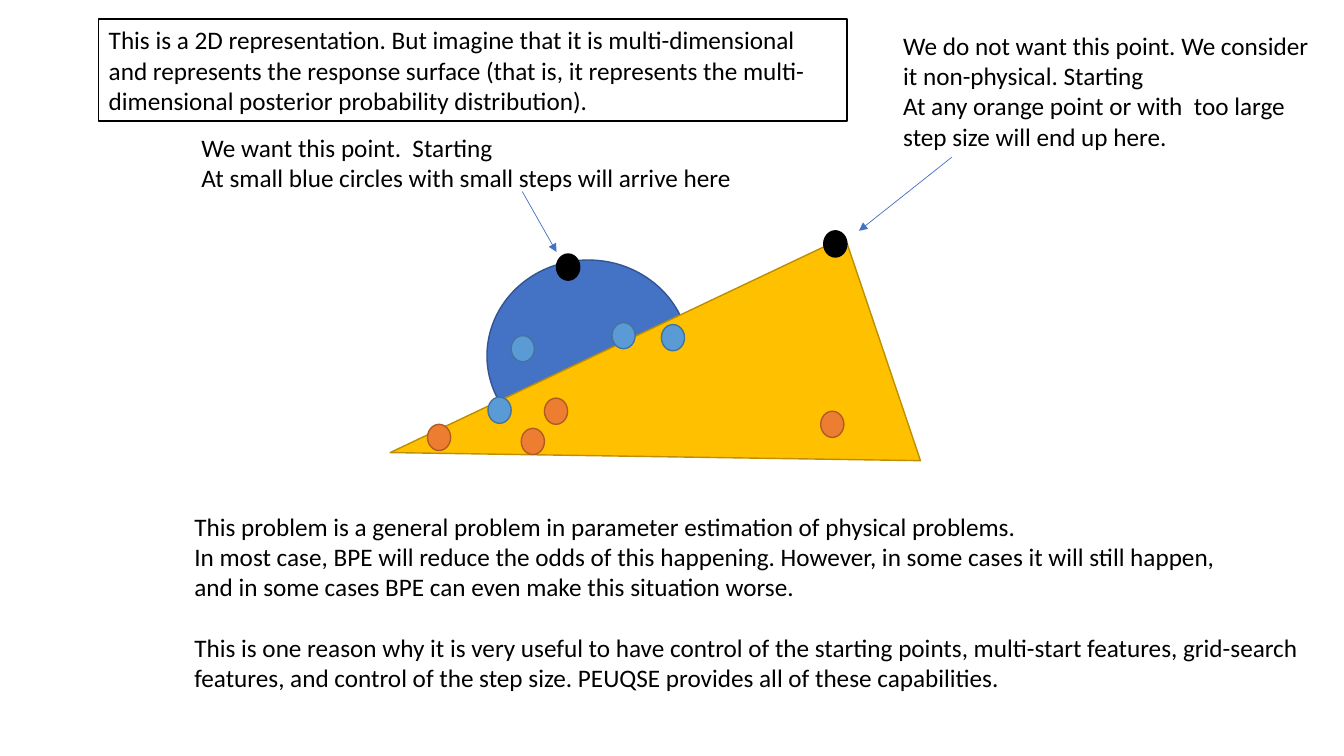
import pptx
import pptx.dml.color
import pptx.enum.shapes
import pptx.enum.text
import pptx.oxml
import pptx.oxml.ns
import pptx.util

Inches = pptx.util.Inches
Pt = pptx.util.Pt
SHAPES = pptx.enum.shapes.MSO_SHAPE


def color(hex_code):
    return pptx.dml.color.RGBColor.from_string(hex_code)


def write(frame, lines, font="Calibri", size=18, ink="000000", wrap=True, gaps=None):
    frame.word_wrap = wrap
    for index, line in enumerate(lines):
        paragraph = frame.paragraphs[0] if index == 0 else frame.add_paragraph()
        paragraph.alignment = pptx.enum.text.PP_ALIGN.LEFT
        paragraph.space_before = Pt((gaps or {}).get(index, 0))
        run = paragraph.add_run()
        run.text = line
        run.font.name = font
        run.font.size = Pt(size)
        run.font.color.rgb = color(ink)


class Sketch:
    arrow_color = "4472C4"
    arrow_width = 0.5
    outline_width = 1
    dot_size = (0.23, 0.26)

    def __init__(self, slide):
        self.shapes = slide.shapes

    def paint(self, shape, fill, outline):
        shape.shadow.inherit = False
        shape.fill.solid()
        shape.fill.fore_color.rgb = color(fill)
        shape.line.color.rgb = color(outline)
        shape.line.width = Pt(self.outline_width)
        return shape

    def figure(self, kind, box, fill, outline):
        shape = self.shapes.add_shape(kind, *map(Inches, box))
        return self.paint(shape, fill, outline)

    def dots(self, corners, fill, outline):
        for corner in corners:
            self.figure(SHAPES.OVAL, (*corner, *self.dot_size), fill, outline)

    def polygon(self, corners, fill, outline):
        points = [(Inches(x), Inches(y)) for x, y in corners]
        builder = self.shapes.build_freeform(*points[0])
        builder.add_line_segments(points[1:], close=True)
        self.paint(builder.convert_to_shape(), fill, outline)

    def note(self, box, lines, **style):
        textbox = self.shapes.add_textbox(*map(Inches, box))
        write(textbox.text_frame, lines, **style)

    def framed_note(self, box, lines):
        frame = self.figure(SHAPES.RECTANGLE, box, "FFFFFF", "000000")
        write(frame.text_frame, lines)

    def arrow(self, start, end):
        straight = pptx.enum.shapes.MSO_CONNECTOR.STRAIGHT
        pointer = self.shapes.add_connector(straight, *map(Inches, (*start, *end)))
        pointer.line.color.rgb = color(self.arrow_color)
        pointer.line.width = Pt(self.arrow_width)
        tip = pptx.oxml.parse_xml(
            f'<a:tailEnd {pptx.oxml.ns.nsdecls("a")} type="triangle"/>')
        pointer.line._get_or_add_ln().append(tip)
        no_effects = pptx.oxml.parse_xml(
            f'<a:effectLst {pptx.oxml.ns.nsdecls("a")}/>')
        pointer._element.spPr.append(no_effects)


def main():
    deck = pptx.Presentation()
    deck.slide_width = Inches(13.33)
    deck.slide_height = Inches(7.5)
    sketch = Sketch(deck.slides.add_slide(deck.slide_layouts[6]))

    sketch.figure(SHAPES.OVAL, (4.83, 2.58, 2.01, 1.9), "4472C4", "325491")
    sketch.polygon([(3.87, 4.49), (8.38, 2.35), (9.13, 4.57)], "FFC000", "BD8E00")

    good_starts = [(4.84, 3.94), (5.07, 3.33), (6.56, 3.22), (6.07, 3.2)]
    bad_starts = [(4.24, 4.21), (5.17, 4.25), (5.4, 3.95), (8.14, 4.08)]
    peaks = [(5.52, 2.52), (8.17, 2.29)]
    sketch.dots(good_starts, "5B9BD5", "43739E")
    sketch.dots(bad_starts, "ED7D31", "AF5C24")
    sketch.dots(peaks, "000000", "000000")

    sketch.note((1.9, 1.26, 5.51, 0.71), [
        "We want this point.  Starting",
        "At small blue circles with small steps will arrive here",
    ], wrap=False)
    sketch.arrow((5.18, 1.9), (5.52, 2.5))

    sketch.note((8.86, 0.25, 4.27, 1.31), [
        "We do not want this point. We consider it non-physical. Starting",
        "At any orange point or with  too large step size will end up here.",
    ])
    sketch.arrow((9.44, 1.56), (8.52, 2.29))

    sketch.note((1.83, 5.02, 11.5, 1.92), [
        "This problem is a general problem in parameter estimation of physical problems.",
        "In most case, BPE will reduce the odds of this happening. "
        "However, in some cases it will still happen,",
        "and in some cases BPE can even make this situation worse.",
        "This is one reason why it is very useful to have control of the starting points, "
        "multi-start features, grid-search features, and control of the step size. "
        "PEUQSE provides all of these capabilities.",
    ], gaps={3: 22})

    sketch.framed_note((0.98, 0.19, 7.42, 1.01), [
        "This is a 2D representation. But imagine that it is multi-dimensional "
        "and represents the response surface (that is, it represents the "
        "multi-dimensional posterior probability distribution).",
    ])

    deck.save("out.pptx")


if __name__ == "__main__":
    main()
